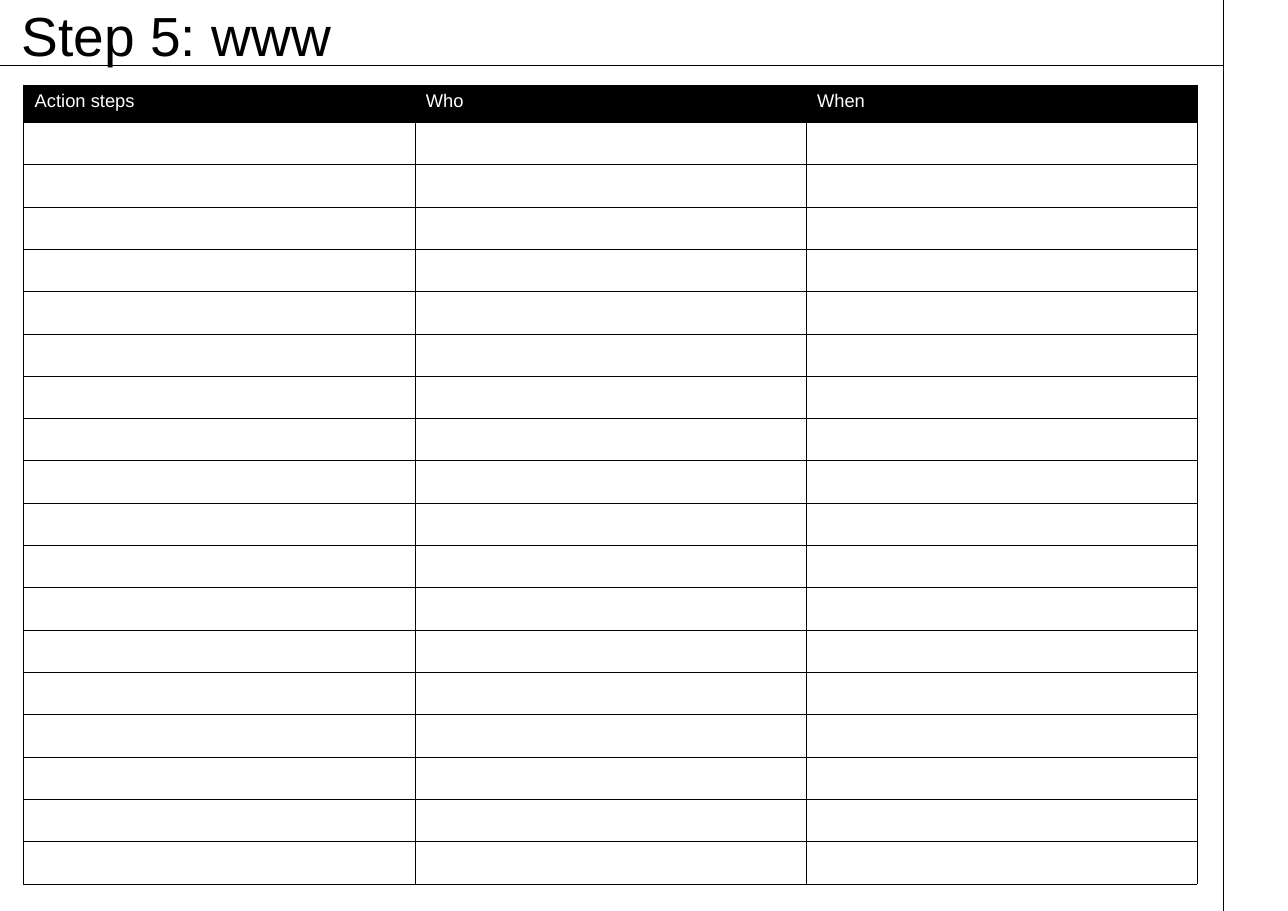
from pptx import Presentation
from pptx.dml.color import RGBColor
from pptx.enum.shapes import MSO_CONNECTOR
from pptx.enum.text import MSO_ANCHOR
from pptx.oxml import parse_xml
from pptx.oxml.ns import nsdecls
from pptx.oxml.xmlchemy import OxmlElement
from pptx.util import Pt

BLACK = RGBColor(0, 0, 0)
WHITE = RGBColor(255, 255, 255)
PAGE_WIDTH, PAGE_HEIGHT = 841.68, 595.44
MARGIN_X, RULE_Y = 799.2, 42.7
HEADINGS = ["Action steps", "Who", "When"]
BLANK_ROWS = 18


class Page:
    font_name = "Arial"
    line_width = 0.5

    def __init__(self, slide):
        self.slide = slide

    def style(self, para, size, color):
        para.font.name = self.font_name
        para.font.size = Pt(size)
        para.font.color.rgb = color

    def rule(self, x1, y1, x2, y2):
        line = self.slide.shapes.add_connector(
            MSO_CONNECTOR.STRAIGHT, Pt(x1), Pt(y1), Pt(x2), Pt(y2))
        line.line.color.rgb = BLACK
        line.line.width = Pt(self.line_width)
        line._element.spPr.append(OxmlElement("a:effectLst"))

    def title(self, text, left, top, width, height):
        box = self.slide.shapes.add_textbox(Pt(left), Pt(top), Pt(width), Pt(height))
        frame = box.text_frame
        frame.word_wrap = True
        frame.vertical_anchor = MSO_ANCHOR.BOTTOM
        para = frame.paragraphs[0]
        para.text = text
        para.line_spacing = 0.9
        self.style(para, 36, BLACK)

    def border(self, cell):
        properties = cell._tc.get_or_add_tcPr()
        for index, side in enumerate(("lnL", "lnR", "lnT", "lnB")):
            properties.insert(index, parse_xml(
                f'<a:{side} {nsdecls("a")} w="{Pt(self.line_width)}">'
                f'<a:solidFill><a:srgbClr val="{BLACK}"/></a:solidFill></a:{side}>'))

    def table(self, headings, blank_rows, left, top, width, header_height, row_height):
        height = header_height + blank_rows * row_height
        table = self.slide.shapes.add_table(
            blank_rows + 1, len(headings), Pt(left), Pt(top), Pt(width), Pt(height)).table
        for column in table.columns:
            column.width = Pt(width / len(headings))
        for index, row in enumerate(table.rows):
            is_header = index == 0
            row.height = Pt(header_height if is_header else row_height)
            for cell, heading in zip(row.cells, headings):
                cell.margin_bottom = Pt(2)
                cell.fill.solid()
                cell.fill.fore_color.rgb = BLACK if is_header else WHITE
                if is_header:
                    cell.text = heading
                self.style(cell.text_frame.paragraphs[0], 12, WHITE if is_header else BLACK)
                self.border(cell)


def main():
    deck = Presentation()
    deck.slide_width, deck.slide_height = Pt(PAGE_WIDTH), Pt(PAGE_HEIGHT)
    page = Page(deck.slides.add_slide(deck.slide_layouts[6]))

    # Page rules
    page.rule(MARGIN_X, RULE_Y, 0, RULE_Y)
    page.rule(MARGIN_X, PAGE_HEIGHT, MARGIN_X, 0)

    # Action plan
    page.table(HEADINGS, BLANK_ROWS, left=15.5, top=55.6, width=766.8,
               header_height=24.3, row_height=27.67)

    # Title
    page.title("Step 5: www", left=7.2, top=16.5, width=504.7, height=31.7)

    deck.save("out.pptx")


if __name__ == "__main__":
    main()
